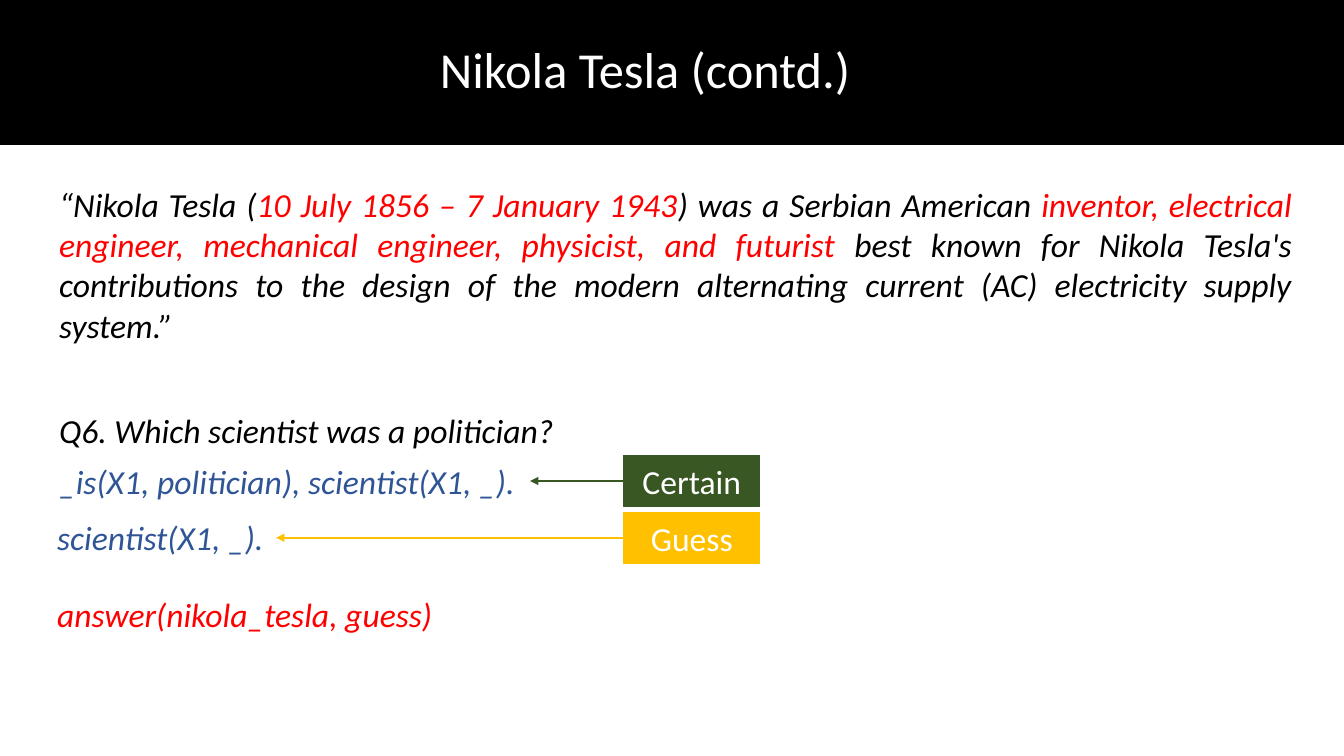
from lxml import etree
from pptx import Presentation
from pptx.dml.color import RGBColor
from pptx.enum.shapes import MSO_CONNECTOR, MSO_SHAPE
from pptx.enum.text import MSO_AUTO_SIZE, PP_ALIGN
from pptx.oxml.ns import qn
from pptx.util import Cm, Pt

RECTANGLE = MSO_SHAPE.RECTANGLE
STRAIGHT = MSO_CONNECTOR.STRAIGHT
LEFT, CENTER, JUSTIFY = PP_ALIGN.LEFT, PP_ALIGN.CENTER, PP_ALIGN.JUSTIFY
FIT_SHAPE = MSO_AUTO_SIZE.SHAPE_TO_FIT_TEXT

FONT = "Calibri"
COLORS = {
    "black": "000000",
    "white": "FFFFFF",
    "red": "FF0000",
    "blue": "2F5597",
    "green": "385723",
    "gold": "FFC000",
}

SLIDE_WIDTH, SLIDE_HEIGHT = 33.87, 19.05
BANNER_HEIGHT = 3.63
LINE_HEIGHT = 1.28
LABEL_LEFT, LABEL_WIDTH = 15.72, 3.43

TITLE = [("Nikola Tesla (contd.)", "white")]
BIOGRAPHY = [
    ("“Nikola Tesla (", "black"),
    ("10 July 1856 – 7 January 1943", "red"),
    (") was a Serbian American ", "black"),
    ("inventor, electrical engineer, mechanical engineer, physicist, and futurist", "red"),
    (" best known for Nikola Tesla's contributions to the design of the modern "
     "alternating current (AC) electricity supply system.”", "black"),
]
QUESTION = [("Q6. Which scientist was a politician?", "black")]
ANSWER = [("answer(nikola_tesla, guess)", "red")]
QUERIES = [
    {"text": "_is(X1, politician), scientist(X1, _).", "label": "Certain",
     "color": "green", "left": 1.24, "top": 11.48, "width": 12.12},
    {"text": "scientist(X1, _).", "label": "Guess",
     "color": "gold", "left": 1.19, "top": 12.91, "width": 5.77},
]


def rgb(name):
    return RGBColor.from_string(COLORS[name])


def write_runs(shape, runs, size=24, italic=True, align=LEFT, wrap=True):
    frame = shape.text_frame
    frame.word_wrap = wrap
    frame.auto_size = FIT_SHAPE
    paragraph = frame.paragraphs[0]
    paragraph.alignment = align
    for text, color in runs:
        run = paragraph.add_run()
        run.text = text
        run.font.name = FONT
        run.font.size = Pt(size)
        run.font.italic = italic
        run.font.color.rgb = rgb(color)


def add_text(slide, box, runs, **style):
    shape = slide.shapes.add_textbox(*map(Cm, box))
    write_runs(shape, runs, **style)


def add_rectangle(slide, box, color, line_width):
    shape = slide.shapes.add_shape(RECTANGLE, *map(Cm, box))
    shape.shadow.inherit = False
    shape.fill.solid()
    shape.fill.fore_color.rgb = rgb(color)
    shape.line.color.rgb = rgb(color)
    shape.line.width = Pt(line_width)
    return shape


def add_arrow(slide, start, end, y, color):
    connector = slide.shapes.add_connector(STRAIGHT, Cm(start), Cm(y), Cm(end), Cm(y))
    connector.line.color.rgb = rgb(color)
    connector.line.width = Pt(1.5)
    etree.SubElement(connector.line._get_or_add_ln(), qn("a:tailEnd"), type="triangle")
    etree.SubElement(connector._element.spPr, qn("a:effectLst"))


def add_query(slide, query):
    left, top, width = query["left"], query["top"], query["width"]
    add_text(slide, (left, top, width, LINE_HEIGHT), [(query["text"], "blue")], wrap=False)
    label = add_rectangle(
        slide, (LABEL_LEFT, top, LABEL_WIDTH, LINE_HEIGHT), query["color"], 0.75)
    write_runs(label, [(query["label"], "white")], italic=False, align=CENTER)
    add_arrow(slide, LABEL_LEFT, left + width, top + LINE_HEIGHT / 2, query["color"])


def main():
    presentation = Presentation()
    presentation.slide_width = Cm(SLIDE_WIDTH)
    presentation.slide_height = Cm(SLIDE_HEIGHT)
    slide = presentation.slides.add_slide(presentation.slide_layouts[6])

    add_rectangle(slide, (0, 0, SLIDE_WIDTH, BANNER_HEIGHT), "black", 1)
    add_text(slide, (6.48, 0.84, 19.56, 1.8), TITLE, size=36, italic=False, align=CENTER)
    add_text(slide, (1.24, 4.5, 31.57, 4.37), BIOGRAPHY, align=JUSTIFY)
    add_text(slide, (1.24, 10.21, 13.08, LINE_HEIGHT), QUESTION, align=JUSTIFY)
    for query in QUERIES:
        add_query(slide, query)
    add_text(slide, (1.19, 14.83, 10.08, LINE_HEIGHT), ANSWER, wrap=False)

    presentation.save("out.pptx")


if __name__ == "__main__":
    main()
